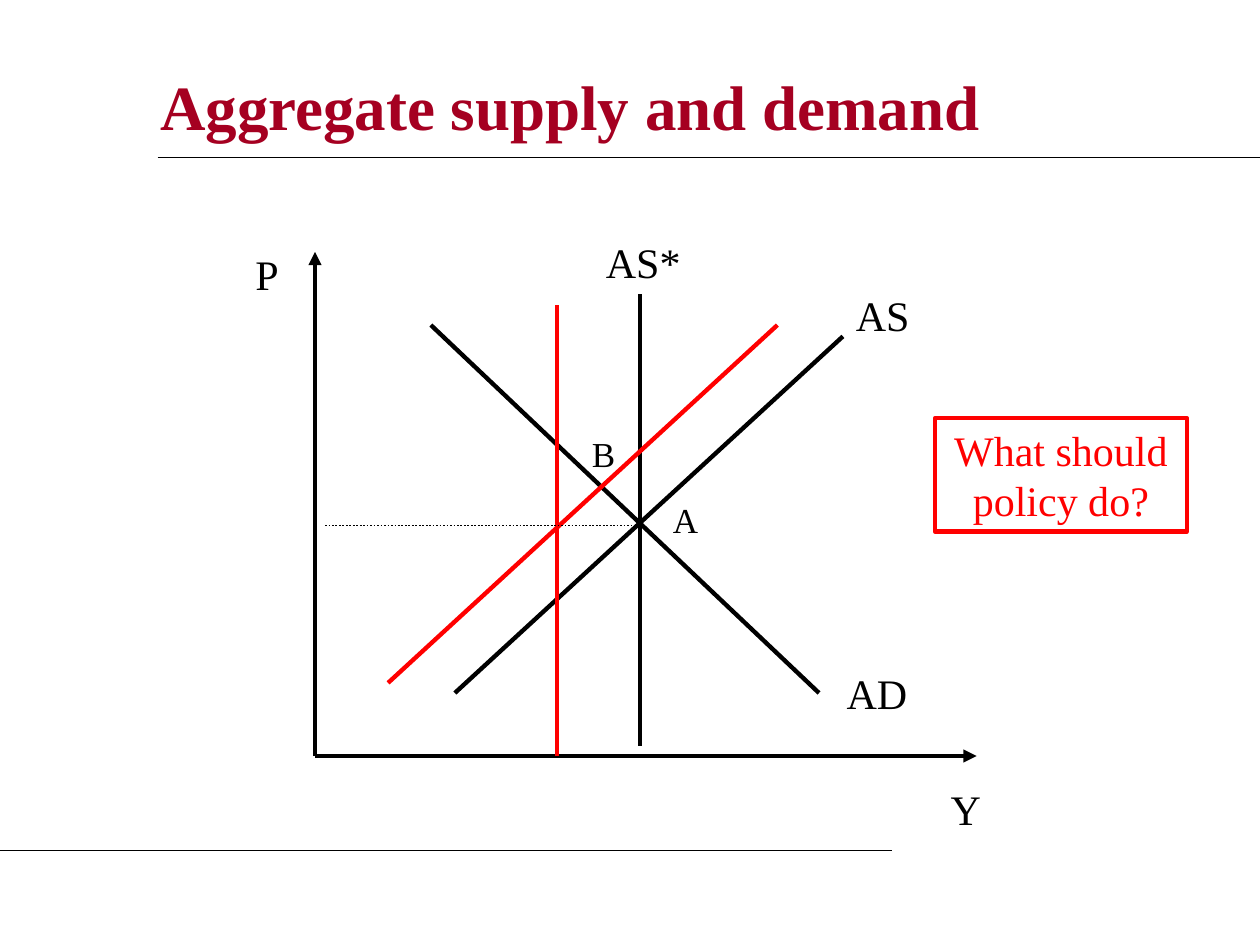
import pptx
import pptx.util
import pptx.dml.color
import pptx.enum.dml
import pptx.enum.shapes
import pptx.enum.text
from lxml import etree
from pptx.util import Inches

BLACK = pptx.dml.color.RGBColor(0x00, 0x00, 0x00)
RED = pptx.dml.color.RGBColor(0xFF, 0x00, 0x00)
CRIMSON = pptx.dml.color.RGBColor(0xA5, 0x00, 0x21)
FONT = "Times New Roman"
ALIGN = pptx.enum.text.PP_ALIGN
ANCHOR = pptx.enum.text.MSO_ANCHOR
DOTTED = pptx.enum.dml.MSO_LINE.ROUND_DOT

RULES = [(1.25, 1.25, 10, 1.25), (0, 6.75, 7.08, 6.75)]
AXES = [(2.5, 6, 7.75, 6), (2.5, 6, 2.5, 2)]
CURVES = [
    ((3.61, 5.5, 6.69, 2.67), BLACK),
    ((6.5, 5.5, 3.42, 2.58), BLACK),
    ((5.08, 5.92, 5.08, 2.33), BLACK),
    ((4.42, 6, 4.42, 2.42), RED),
    ((3.08, 5.42, 6.17, 2.58), RED),
]
LABELS = [
    ("Y", (7.33, 6.17, 0.67, 0.5), 24),
    ("P", (1.83, 1.92, 0.58, 0.5), 24),
    ("AS", (6.67, 2.25, 0.67, 0.5), 24),
    ("AD", (6.5, 5.25, 0.92, 0.5), 24),
    ("AS*", (4.69, 1.83, 0.83, 0.5), 24),
    ("A", (5.15, 3.91, 0.58, 0.44), 20),
    ("B", (4.5, 3.38, 0.58, 0.44), 20),
]


def set_text(s, text, size, color, align=ALIGN.CENTER, anchor=ANCHOR.TOP, bold=False):
    """Write one formatted paragraph into a shape."""
    tf = s.text_frame
    frame = {"word_wrap": True, "vertical_anchor": anchor,
             "auto_size": pptx.enum.text.MSO_AUTO_SIZE.NONE}
    for name, value in frame.items():
        setattr(tf, name, value)
    p = tf.paragraphs[0]
    p.alignment = align
    r = p.add_run()
    r.text = text
    font = {"name": FONT, "size": pptx.util.Pt(size), "bold": bold}
    for name, value in font.items():
        setattr(r.font, name, value)
    r.font.color.rgb = color


def add_title(slide, text):
    """Place and format the title placeholder."""
    s = slide.shapes.title
    place = {"left": 1.17, "top": 0.42, "width": 8.5, "height": 0.83}
    for name, value in place.items():
        setattr(s, name, Inches(value))
    set_text(s, text, 36, CRIMSON, ALIGN.LEFT, ANCHOR.MIDDLE, True)


def add_line(slide, points, width=2.5, color=BLACK, dash=None, arrow=False):
    """Draw a straight line, optionally dotted or with an arrowhead."""
    s = slide.shapes.add_connector(
        pptx.enum.shapes.MSO_CONNECTOR.STRAIGHT, *map(Inches, points))
    s.line.width = pptx.util.Pt(width)
    s.line.color.rgb = color
    if dash:
        s.line.dash_style = dash
    if arrow:
        tail = etree.SubElement(s.line._get_or_add_ln(), pptx.oxml.ns.qn("a:tailEnd"))
        tail.set("type", "triangle")
    etree.SubElement(s._element.spPr, pptx.oxml.ns.qn("a:effectLst"))


def add_label(slide, text, box, size):
    """Add a centred label to the diagram."""
    s = slide.shapes.add_textbox(*map(Inches, box))
    set_text(s, text, size, BLACK)


def add_question(slide, text, box):
    """Add the outlined question box."""
    s = slide.shapes.add_shape(
        pptx.enum.shapes.MSO_SHAPE.RECTANGLE, *map(Inches, box))
    s.shadow.inherit = False
    s.fill.background()
    s.line.color.rgb = RED
    s.line.width = pptx.util.Pt(2.5)
    set_text(s, text, 24, RED)


def main():
    """Build the aggregate supply and demand slide."""
    prs = pptx.Presentation()
    prs.slide_width, prs.slide_height = Inches(10), Inches(7.5)
    slide = prs.slides.add_slide(prs.slide_layouts[5])
    add_title(slide, "Aggregate supply and demand")
    for points in RULES:
        add_line(slide, points, width=0.75)
    for points in AXES:
        add_line(slide, points, arrow=True)
    for points, color in CURVES:
        add_line(slide, points, color=color)
    add_line(slide, (2.58, 4.17, 5.08, 4.17), width=1, dash=DOTTED)
    for text, box, size in LABELS:
        add_label(slide, text, box, size)
    add_question(slide, "What should policy do?", (7.42, 3.32, 2, 0.9))
    prs.save("out.pptx")


if __name__ == "__main__":
    main()
